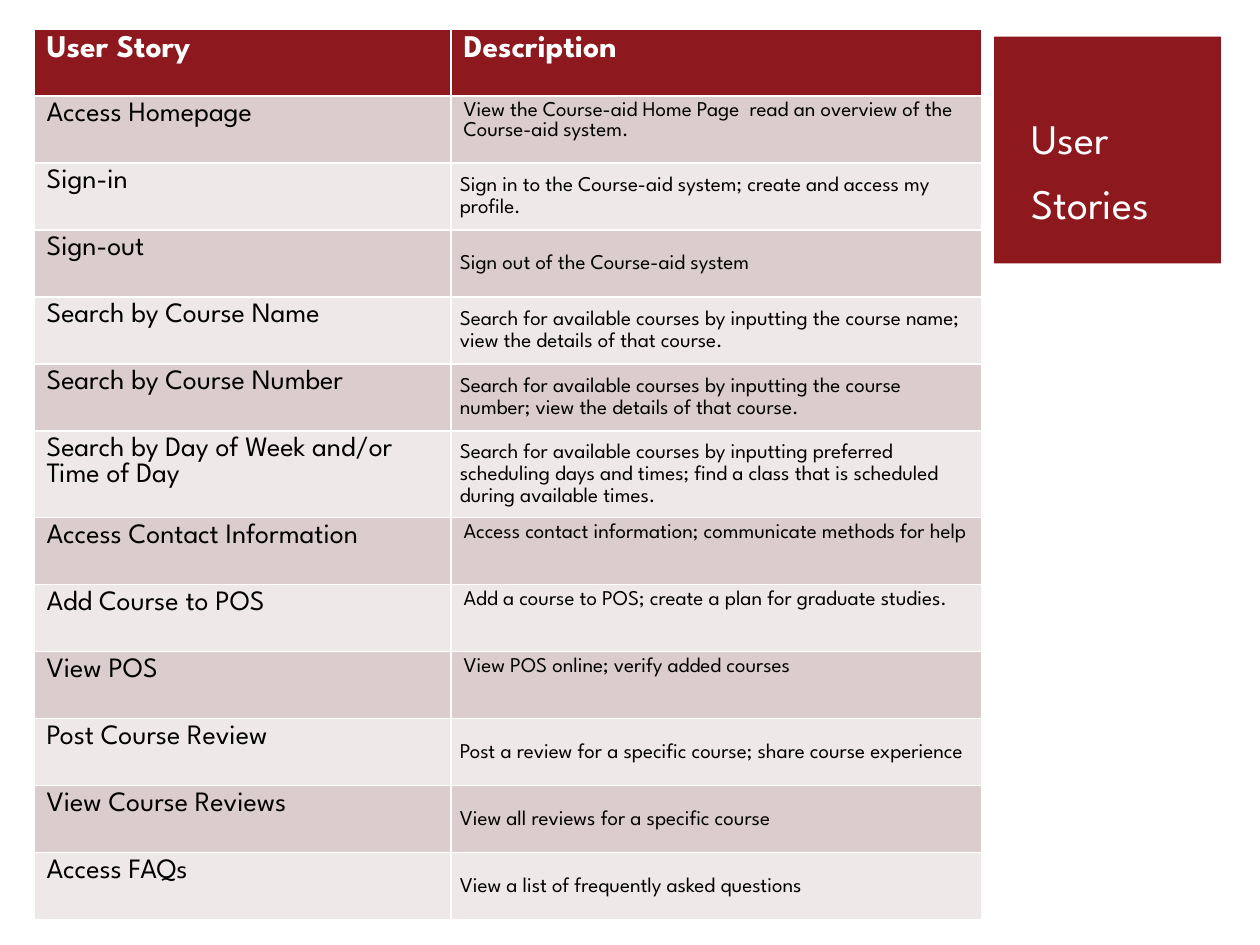
from dataclasses import dataclass
from pptx import Presentation
from pptx.dml.color import RGBColor
from pptx.enum.shapes import MSO_SHAPE
from pptx.enum.text import MSO_ANCHOR
from pptx.util import Inches, Pt


@dataclass(frozen=True)
class Theme:
    """Colours and type sizes of the slide."""
    font: str = "League Spartan"
    red: str = "8D181D"
    bands: tuple = ("DBCCCD", "EEE8E8")
    white: str = "FFFFFF"
    black: str = "000000"
    title: int = 24
    head: int = 18
    story: int = 16
    body: int = 12


THEME = Theme()
STORIES = [
    ("Access Homepage", "View the Course-aid Home Page  read an overview of the Course-aid system.", False),
    ("Sign-in", "Sign in to the Course-aid system; create and access my profile.", True),
    ("Sign-out", "Sign out of the Course-aid system", True),
    ("Search by Course Name",
     "Search for available courses by inputting the course name; view the details of that course.", True),
    ("Search by Course Number",
     "Search for available courses by inputting the course number; view the details of that course.", True),
    ("Search by Day of Week and/or Time of Day",
     "Search for available courses by inputting preferred scheduling days and times; "
     "find a class that is scheduled during available times.", True),
    ("Access Contact Information", "Access contact information; communicate methods for help", False),
    ("Add Course to POS", "Add a course to POS; create a plan for graduate studies.", False),
    ("View POS", "View POS online; verify added courses", False),
    ("Post Course Review", "Post a review for a specific course; share course experience", True),
    ("View Course Reviews", "View all reviews for a specific course", True),
    ("Access FAQs", "View a list of frequently asked questions", True),
]


def style(para, size, color, bold=False):
    """Set the font of a paragraph."""
    font = para.font
    font.name, font.size, font.bold = THEME.font, Pt(size), bold
    font.color.rgb = RGBColor.from_string(color)


def paint(shape, color):
    """Give a shape or cell a solid fill."""
    shape.fill.solid()
    shape.fill.fore_color.rgb = RGBColor.from_string(color)


def write(cell, text, size, color, fill, bold=False):
    """Fill a table cell with styled text."""
    cell.text = text
    paint(cell, fill)
    style(cell.text_frame.paragraphs[0], size, color, bold)


def center(cell):
    """Centre a cell vertically with tight margins and open lines."""
    cell.vertical_anchor = MSO_ANCHOR.MIDDLE
    cell.margin_left = cell.margin_right = Inches(0.07)
    cell.margin_top = cell.margin_bottom = 0
    cell.text_frame.paragraphs[0].line_spacing = 1.15


def add_badge(slide, left, top, side):
    """Place the red square with the slide title."""
    square = slide.shapes.add_shape(
        MSO_SHAPE.RECTANGLE, Inches(left), Inches(top), Inches(side), Inches(side))
    square.shadow.inherit = False
    square.line.fill.background()
    paint(square, THEME.red)
    box = slide.shapes.add_textbox(
        Inches(left + 0.2), Inches(top + 0.63), Inches(side), Inches(0.94))
    frame = box.text_frame
    frame.word_wrap = True
    frame.vertical_anchor = MSO_ANCHOR.BOTTOM
    frame.text = "User\vStories"
    para = frame.paragraphs[0]
    para.line_spacing = 1.3
    style(para, THEME.title, THEME.white)


def add_stories(slide, left, top, width, height):
    """Place the table of user stories."""
    table = slide.shapes.add_table(
        len(STORIES) + 1, 2, Inches(left), Inches(top), Inches(width), Inches(height)).table
    first = round(width * 0.44, 2)
    table.columns[0].width = Inches(first)
    table.columns[1].width = Inches(width - first)
    tall = 0.59
    for row in table.rows:
        row.height = Inches((height - tall) / len(STORIES))
    table.rows[6].height = Inches(tall)
    for col, text in enumerate(("User Story", "Description")):
        write(table.cell(0, col), text, THEME.head, THEME.white, THEME.red, True)
    for num, (story, detail, mid) in enumerate(STORIES, 1):
        fill = THEME.bands[(num - 1) % 2]
        write(table.cell(num, 0), story, THEME.story, THEME.black, fill)
        write(table.cell(num, 1), detail, THEME.body, THEME.black, fill)
        if mid:
            center(table.cell(num, 1))


def main():
    """Build and save the slide."""
    deck = Presentation()
    deck.slide_width, deck.slide_height = Inches(10), Inches(7.5)
    slide = deck.slides.add_slide(deck.slide_layouts[6])
    add_badge(slide, 7.89, 0.29, 1.8)
    add_stories(slide, 0.27, 0.23, 7.52, 6.97)
    deck.save("out.pptx")


main()
